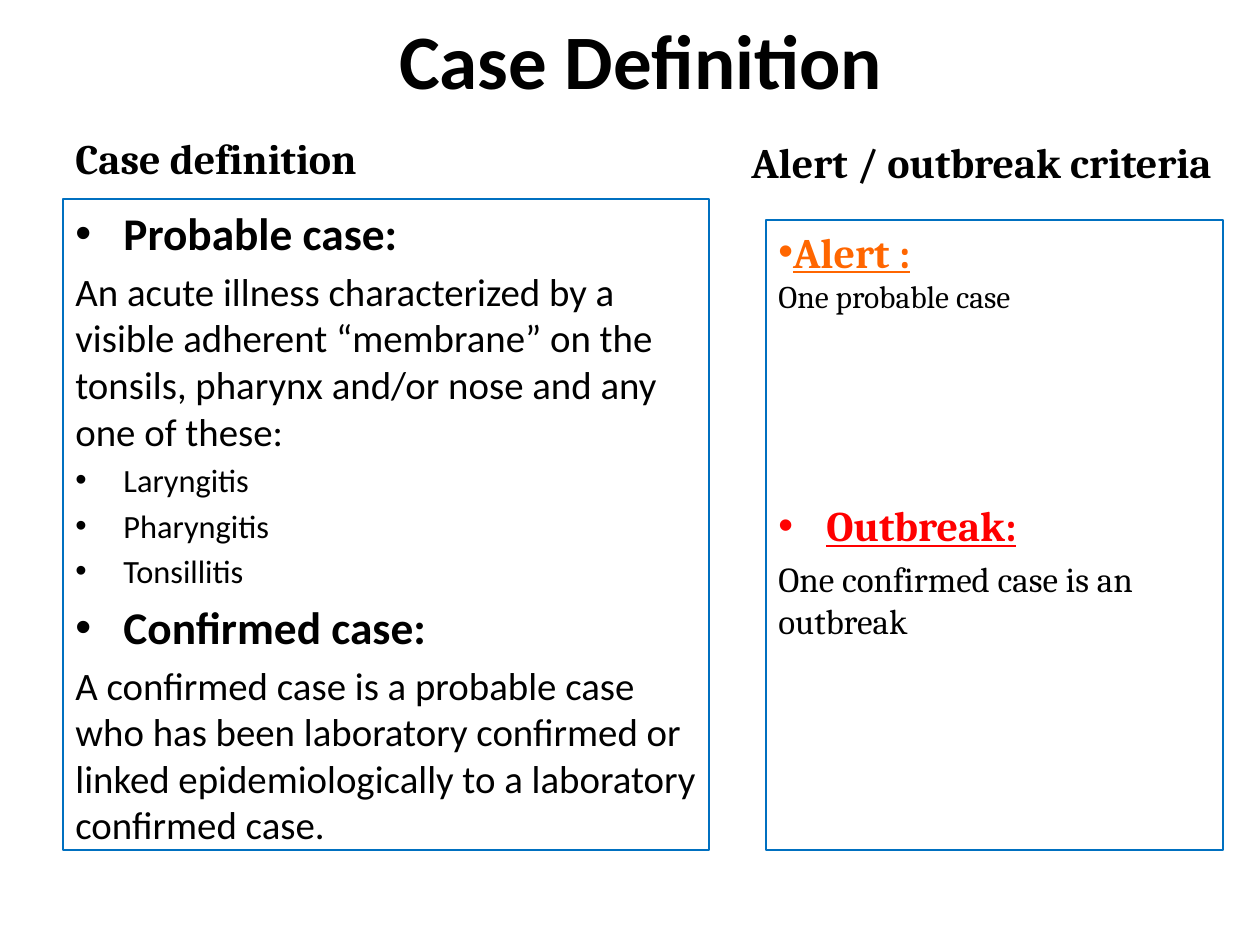
from lxml import etree
from pptx import Presentation
from pptx import util as u
from pptx.dml.color import RGBColor
from pptx.enum import shapes, text
from pptx.oxml.ns import qn

PX = 914400 / 126
INDENT = 48
BLACK = "000000"


def px(length):
    return u.Emu(round(length * PX))


def rgb(value):
    return RGBColor.from_string(value)


def set_bullet(paragraph, margin):
    properties = paragraph._p.get_or_add_pPr()
    properties.set("marL", str(px(margin)))
    properties.set("indent", str(-px(INDENT)))
    etree.SubElement(properties, qn("a:buFont"), typeface="Arial")
    etree.SubElement(properties, qn("a:buChar"), char="•")


def add_paragraph(frame, first, wording, size, font, color=BLACK, before=None,
                  margin=None, align=text.PP_ALIGN.LEFT, **formats):
    paragraph = frame.paragraphs[0] if first else frame.add_paragraph()
    paragraph.alignment = align
    paragraph.space_before = u.Pt(round(size * 0.2, 1) if before is None else before)
    if margin is not None:
        set_bullet(paragraph, margin)
    run = paragraph.add_run()
    run.text = wording
    for name, value in {"size": u.Pt(size), "name": font, **formats}.items():
        setattr(run.font, name, value)
    run.font.color.rgb = rgb(color)


def fill_frame(frame, anchor, font, paragraphs):
    for name, value in {"word_wrap": True, "vertical_anchor": anchor}.items():
        setattr(frame, name, value)
    for index, paragraph in enumerate(paragraphs):
        add_paragraph(frame, index == 0, font=font, **paragraph)


def add_heading(slide, box, wording, size, font, anchor, **formats):
    shape = slide.shapes.add_textbox(*map(px, box))
    fill_frame(shape.text_frame, anchor, font,
               [{"wording": wording, "size": size, "bold": True, **formats}])


def add_panel(slide, box, font, paragraphs):
    shape = slide.shapes.add_shape(shapes.MSO_SHAPE.RECTANGLE, *map(px, box))
    shape.shadow.inherit = False
    shape.fill.background()
    shape.line.color.rgb = rgb("0070C0")
    shape.line.width = u.Pt(0.75)
    fill_frame(shape.text_frame, text.MSO_ANCHOR.TOP, font, paragraphs)


def add_column(slide, heading_box, heading, panel_box, font, paragraphs):
    add_heading(slide, heading_box, heading, 24, "Cambria", text.MSO_ANCHOR.BOTTOM)
    add_panel(slide, panel_box, font, paragraphs)


def main():
    presentation = Presentation()
    presentation.slide_width, presentation.slide_height = px(1260), px(945)
    slide = presentation.slides.add_slide(presentation.slide_layouts[6])

    add_heading(slide, (74, 10, 1134, 97), "Case Definition", 44, "Calibri",
                text.MSO_ANCHOR.MIDDLE, align=text.PP_ALIGN.CENTER, before=0)

    case_title = {"size": 25.9, "bold": True, "margin": INDENT}
    symptoms = [{"wording": name, "size": 18.5, "margin": INDENT}
                for name in ("Laryngitis", "Pharyngitis", "Tonsillitis")]
    add_column(slide, (63, 101, 557, 88), "Case definition", (63, 199, 646, 651), "Calibri", [
        {"wording": "Probable case:", **case_title},
        {"wording": "An acute illness characterized by a visible adherent “membrane” on the "
                    "tonsils, pharynx and/or nose and any one of these:", "size": 22.2},
        *symptoms,
        {"wording": "Confirmed case:", **case_title},
        {"wording": "A confirmed case is a probable case who has been laboratory confirmed or "
                    "linked epidemiologically to a laboratory confirmed case.", "size": 22.2},
    ])

    level_title = {"size": 24, "bold": True, "underline": True}
    add_column(slide, (739, 105, 507, 88), "Alert / outbreak criteria",
               (766, 220, 457, 630), "Cambria", [
        {"wording": "Alert :", "color": "FF6600", "before": 0, "margin": 0, **level_title},
        {"wording": "One probable case", "size": 18, "before": 0},
        {"wording": "Outbreak:", "color": "FF0000", "before": 106, "margin": INDENT,
         **level_title},
        {"wording": "One confirmed case is an outbreak", "size": 20},
    ])
    presentation.save("out.pptx")


if __name__ == "__main__":
    main()
